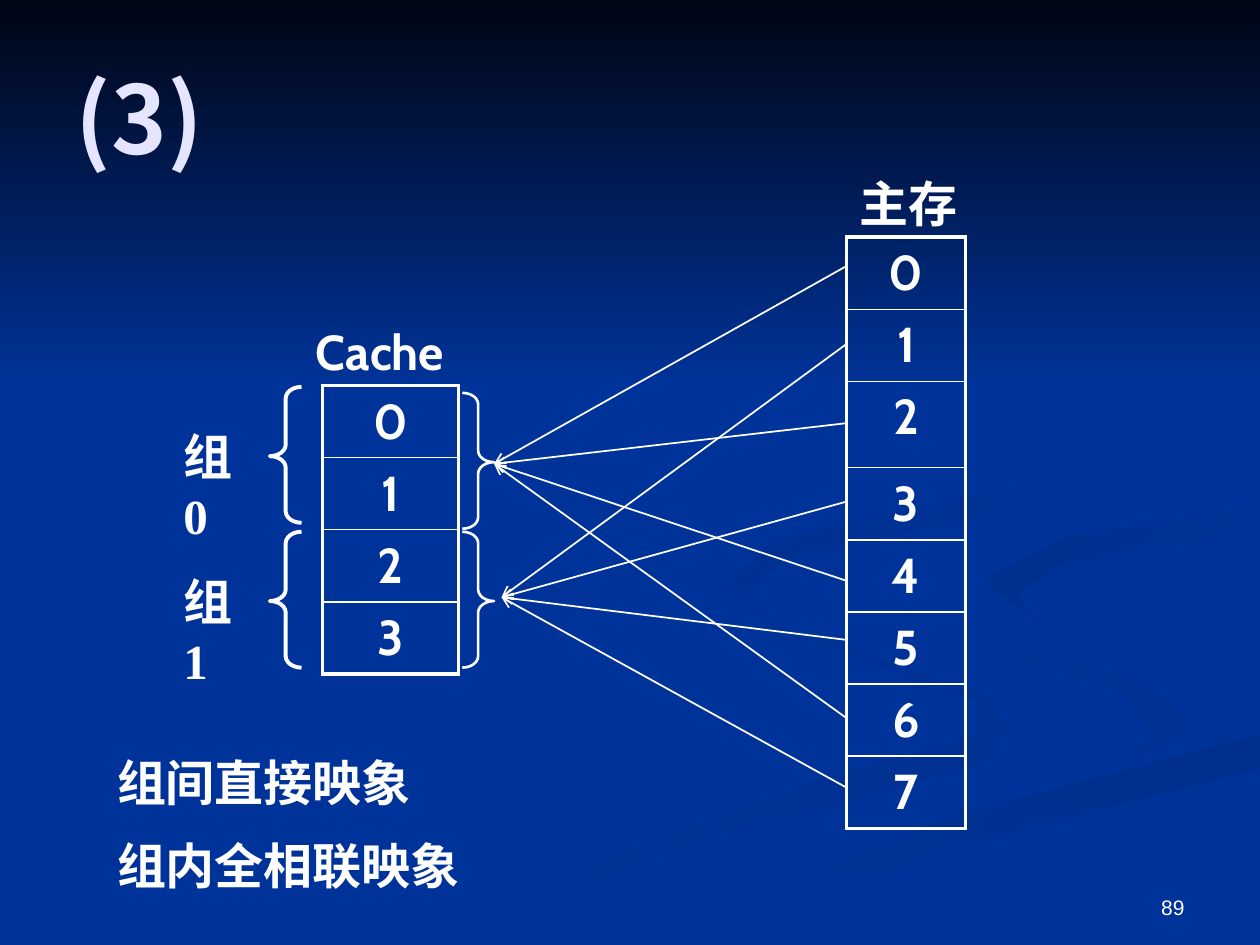
from lxml import etree
from pptx import Presentation, util as u
from pptx.dml.color import RGBColor
from pptx.enum import shapes as sh, text as tx
from pptx.oxml.ns import qn

Cm, Pt = u.Cm, u.Pt
WHITE = RGBColor(0xFF, 0xFF, 0xFF)
LILAC = RGBColor(0xE5, 0xE5, 0xFF)
BLUE = RGBColor(0x00, 0x33, 0x99)
NIGHT = RGBColor(0x00, 0x05, 0x14)
DIM = RGBColor(0x00, 0x31, 0x93)
DARK = RGBColor(0x00, 0x2F, 0x8D)
LEFT, RIGHT = tx.PP_ALIGN.LEFT, tx.PP_ALIGN.RIGHT

# Background ribbons: first colour, last colour, angle, outline in cm
RIBBONS = [
    (BLUE, DIM, 0, [
        (19.8, 14), (15.6, 12.6), (14.6, 11.7), (14.6, 12.2), (16, 12.8),
        (19.7, 14.1), (19.7, 14.8), (15.6, 16), (7.6, 19), (9.2, 19),
        (14.3, 16.9), (19.8, 15.4), (20.3, 14.7)]),
    (BLUE, DIM, 45, [
        (24, 14.5), (23, 13.7), (19.3, 12.6), (18.4, 11.8), (19.2, 12.9),
        (22.6, 14), (23.3, 14.8), (22.7, 15.4), (23.8, 14.9)]),
    (DARK, BLUE, 90, [
        (12.8, 19), (14.5, 19), (19.1, 17.1), (25.4, 15.5), (25.4, 14.8),
        (19.4, 16.4)]),
    (DARK, BLUE, 45, [
        (19.8, 11.7), (21, 12.6), (20.5, 12), (21.4, 11.4), (25.4, 10.7),
        (25.4, 10.2), (21.6, 10.8)]),
    (DARK, BLUE, 45, [
        (17.4, 10.9), (21, 10.2), (22.6, 9.2), (22.4, 7.8), (19.4, 5.9),
        (21.9, 7.4), (22.6, 8.5), (21.4, 9.6), (15.6, 10.9), (14.7, 11.7),
        (15.8, 12.7), (15.1, 11.9), (15.8, 11.3)]),
    (NIGHT, BLUE, 90, [(0, 0), (0, 7.82), (25.4, 7.82), (25.4, 0)]),
]
# Left, top, width, height, lines, font, size, alignment
LABELS = [
    (3.45, 8.48, 1.9, 1.45, ["组0"], "Times New Roman", 28, LEFT),
    (3.45, 11.4, 1.9, 1.45, ["组1"], "Times New Roman", 28, LEFT),
    (2.11, 15.04, 9.04, 3.23, ["组间直接映象", "组内全相联映象"],
     "Times New Roman", 28, LEFT),
    (6.12, 6.35, 3.51, 1.45, ["Cache"], "Cabin", 28, LEFT),
    (17.07, 3.38, 2.8, 1.45, ["主存"], "Cabin", 28, LEFT),
    (18.21, 17.35, 5.92, 1.32, ["89"], "Arial", 12, RIGHT),
]
ROW = 1.45
# Left, top, width, row heights
STACKS = [(6.5, 7.77, 2.74, [ROW] * 4),
          (17.07, 4.78, 2.39, [ROW] * 2 + [1.74] + [ROW] * 5)]
# Kind, left, first top, line width
BRACES = [(sh.MSO_SHAPE.LEFT_BRACE, 5.44, 7.8, 2.25),
          (sh.MSO_SHAPE.RIGHT_BRACE, 9.32, 7.92, 1.5)]
LOW = 10.72
# Arrow start heights by memory block; blocks alternate between the two sets
STARTS = [5.36, 6.93, 8.53, 10.11, 11.71, 12.9, 14.48, 15.88]
TIPS = [(9.96, 9.35), (10.11, 12.04)]


def style(para, face, size, color=WHITE, bold=True):
    """Set the font of a paragraph."""
    font = para.font
    font.name, font.size, font.bold = face, Pt(size), bold
    font.color.rgb = color


def ribbon(first, last, angle, points):
    """Draw one gradient-filled outline."""
    spots = [(Cm(x), Cm(y)) for x, y in points]
    pen = slide.shapes.build_freeform(*spots[0])
    pen.add_line_segments(spots[1:], close=True)
    shape = pen.convert_to_shape()
    shape.shadow.inherit = False
    shape.line.fill.background()
    shape.fill.gradient()
    shape.fill.gradient_angle = -angle % 360
    for stop, color in zip(shape.fill.gradient_stops, (first, last)):
        stop.color.rgb = color


def label(left, top, width, height, lines, face, size, align):
    """Add a text box."""
    box = slide.shapes.add_textbox(Cm(left), Cm(top), Cm(width), Cm(height))
    frame = box.text_frame
    frame.word_wrap = True
    if align == RIGHT:
        frame.vertical_anchor = tx.MSO_ANCHOR.BOTTOM
    frame.text = "\n".join(lines)
    for i, para in enumerate(frame.paragraphs):
        style(para, face, size, bold=size > 12)
        para.alignment = align
        if i:
            para.space_before = Pt(size / 2)


def edge(cell, side, width):
    """Draw one white cell border."""
    line = etree.SubElement(cell._tc.get_or_add_tcPr(), qn("a:" + side),
                            w=str(int(Pt(width))))
    fill = etree.SubElement(line, qn("a:solidFill"))
    etree.SubElement(fill, qn("a:srgbClr"), val=str(WHITE))


def stack(left, top, width, rows):
    """Add a one-column table of numbered blocks."""
    last = len(rows) - 1
    table = slide.shapes.add_table(len(rows), 1, Cm(left), Cm(top), Cm(width),
                                   Cm(sum(rows))).table
    table.first_row = table.horz_banding = False
    for i, height in enumerate(rows):
        table.rows[i].height = Cm(height)
        cell = table.cell(i, 0)
        cell.text = str(i)
        para = cell.text_frame.paragraphs[0]
        para.alignment = tx.PP_ALIGN.CENTER
        style(para, "Cabin", 28)
        for side, thick in (("lnL", True), ("lnR", True),
                            ("lnT", i == 0), ("lnB", i == last)):
            edge(cell, side, 2.25 if thick else 1)
        cell.fill.background()


def brace(kind, left, top, width):
    """Add a brace that spans one set."""
    shape = slide.shapes.add_shape(kind, Cm(left), Cm(top), Cm(0.64), Cm(2.74))
    shape.shadow.inherit = False
    shape.adjustments[0], shape.adjustments[1] = 0.36, 0.51
    shape.fill.background()
    shape.line.color.rgb = WHITE
    shape.line.width = Pt(width)


def arrow(x, y, tip):
    """Add an arrow from a memory block to a set."""
    line = slide.shapes.add_connector(sh.MSO_CONNECTOR.STRAIGHT, Cm(x), Cm(y),
                                      Cm(tip[0]), Cm(tip[1]))
    line.line.color.rgb = WHITE
    line.line.width = Pt(1)
    etree.SubElement(line.line._get_or_add_ln(), qn("a:tailEnd"), type="arrow")
    etree.SubElement(line._element.spPr, qn("a:effectLst"))


deck = Presentation()
deck.slide_width, deck.slide_height = Cm(25.4), Cm(19.05)
slide = deck.slides.add_slide(deck.slide_layouts[5])
slide.background.fill.solid()
slide.background.fill.fore_color.rgb = BLUE

for item in RIBBONS:
    ribbon(*item)

title = slide.shapes.title
title.left, title.top, title.width, title.height = (
    Cm(1.27), Cm(0.76), Cm(22.86), Cm(3.18))
title.text = "(3)"
title.text_frame.vertical_anchor = tx.MSO_ANCHOR.MIDDLE
head = title.text_frame.paragraphs[0]
head.alignment = LEFT
style(head, "Noto Sans CJK SC", 54, LILAC)
slide.shapes._spTree.append(title._element)

for item in STACKS:
    stack(*item)
for kind, left, high, width in BRACES:
    for top in (high, LOW):
        brace(kind, left, top, width)
for item in LABELS:
    label(*item)
for i, y in enumerate(STARTS):
    arrow(STACKS[1][0], y, TIPS[i % 2])

deck.save("out.pptx")
